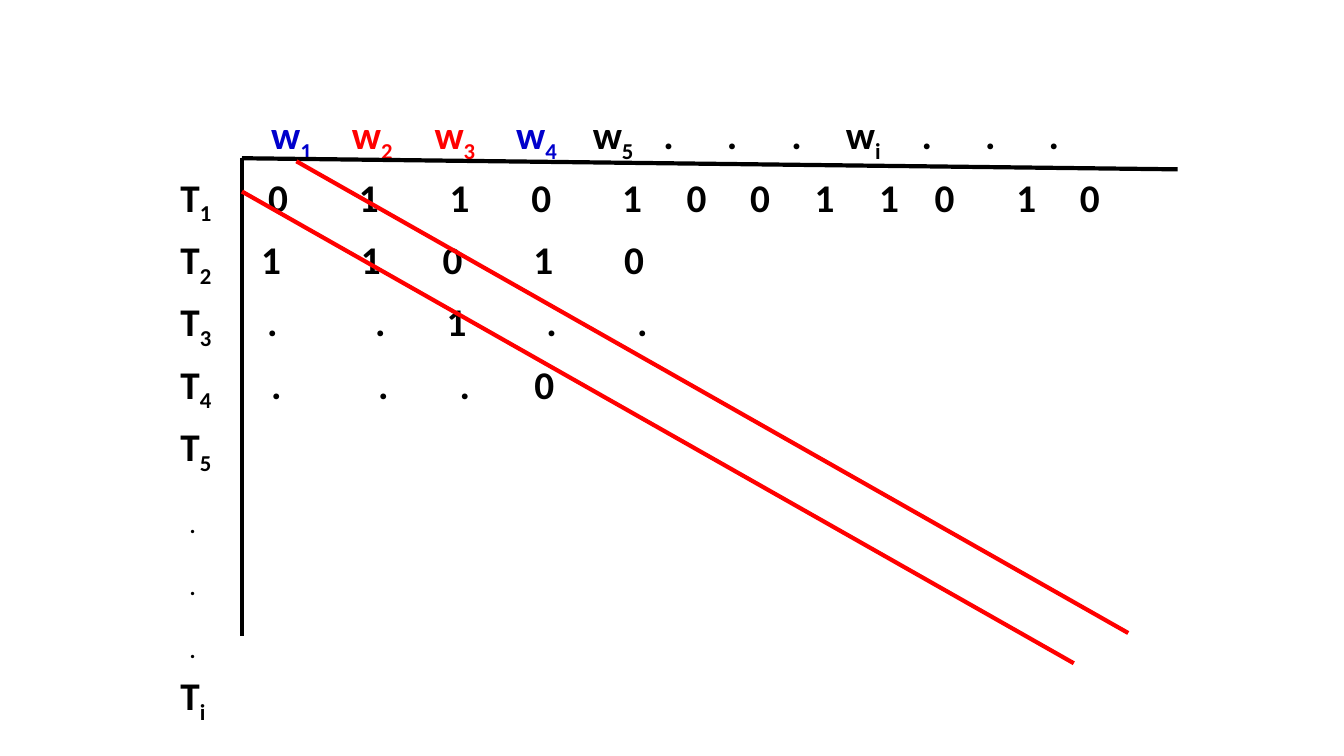
from dataclasses import dataclass
from lxml import etree
from pptx import Presentation
from pptx.dml.color import RGBColor
from pptx.enum.shapes import MSO_CONNECTOR
from pptx.enum.text import MSO_ANCHOR, MSO_AUTO_SIZE
from pptx.oxml.ns import qn
from pptx.util import Inches, Pt

STRAIGHT = MSO_CONNECTOR.STRAIGHT
TOP = MSO_ANCHOR.TOP
FIXED = MSO_AUTO_SIZE.NONE


@dataclass(frozen=True)
class Theme:
    font: str = "Calibri"
    size: float = 28
    lead: float = 34.5
    gap: float = 10
    rule: float = 3
    black: str = "000000"
    blue: str = "0000CC"
    red: str = "FF0000"


THEME = Theme()
LEFT, UP, WIDE, HIGH = 1.6, 1.15, 10.8, 6.2
LABEL = 1.79
DOT = ("_.", 1.88)

ROWS = [
    [("w_1", 2.69), ("w_2", 3.49), ("w_3", 4.31), ("w_4", 5.12),
     ("w_5", 5.88), (".", 6.58), (".", 7.21), (".", 7.85),
     ("w_i", 8.39), (".", 9.14), (".", 9.77), (".", 10.4)],
    [("T_1", LABEL), ("0", 2.66), ("1", 3.56), ("1", 4.46), ("0", 5.27),
     ("1", 6.17), ("0", 6.81), ("0", 7.44), ("1", 8.08), ("1", 8.72),
     ("0", 9.27), ("1", 10.08), ("0", 10.71)],
    [("T_2", LABEL), ("1", 2.59), ("1", 3.58), ("0", 4.39),
     ("1", 5.29), ("0", 6.19)],
    [("T_3", LABEL), (".", 2.65), (".", 3.72), ("1", 4.43),
     (".", 5.42), (".", 6.32)],
    [("T_4", LABEL), (".", 2.69), (".", 3.75), (".", 4.56), ("0", 5.3)],
    [("T_5", LABEL)],
    [DOT],
    [DOT],
    [DOT],
    [("T_i", LABEL)],
]
TINTS = {"w_1": THEME.blue, "w_2": THEME.red,
         "w_3": THEME.red, "w_4": THEME.blue}
LINES = [
    ((2.4, 1.57), (11.68, 1.68), THEME.black),
    ((2.4, 1.57), (2.4, 6.31), THEME.black),
    ((2.4, 1.9), (10.65, 6.58), THEME.red),
    ((2.94, 1.6), (11.19, 6.28), THEME.red),
]


def add_run(para, text, tint, low=False):
    run = para.add_run()
    run.text = text
    font = run.font
    font.name, font.size, font.bold = THEME.font, Pt(THEME.size), True
    font.color.rgb = RGBColor.from_string(tint)
    if low:
        run._r.get_or_add_rPr().set("baseline", "-25000")


def add_row(para, cells, first):
    props = para._p.get_or_add_pPr()
    tabs = etree.SubElement(props, qn("a:tabLst"))
    for _, x in cells:
        etree.SubElement(tabs, qn("a:tab"), pos=str(Inches(x - LEFT)), algn="l")
    para.line_spacing = Pt(THEME.lead)
    para.space_before = Pt(0 if first else THEME.gap)
    for text, _ in cells:
        tint = TINTS.get(text, THEME.black)
        base, _, sub = text.partition("_")
        add_run(para, "\t" + base, tint)
        if sub:
            add_run(para, sub, tint, True)


def add_grid(slide):
    box = slide.shapes.add_textbox(
        Inches(LEFT), Inches(UP), Inches(WIDE), Inches(HIGH))
    frame = box.text_frame
    frame.auto_size = FIXED
    frame.word_wrap = True
    frame.vertical_anchor = TOP
    frame.margin_left = frame.margin_right = 0
    frame.margin_top = frame.margin_bottom = 0
    for i, cells in enumerate(ROWS):
        para = frame.add_paragraph() if i else frame.paragraphs[0]
        add_row(para, cells, i == 0)


def add_line(slide, start, end, tint):
    ends = [Inches(v) for v in start + end]
    line = slide.shapes.add_connector(STRAIGHT, *ends)
    line.line.color.rgb = RGBColor.from_string(tint)
    line.line.width = Pt(THEME.rule)
    etree.SubElement(line._element.spPr, qn("a:effectLst"))


def main():
    deck = Presentation()
    deck.slide_width, deck.slide_height = Inches(13.33), Inches(7.5)
    slide = deck.slides.add_slide(deck.slide_layouts[6])
    add_grid(slide)
    for start, end, tint in LINES:
        add_line(slide, start, end, tint)
    deck.save("out.pptx")


if __name__ == "__main__":
    main()
